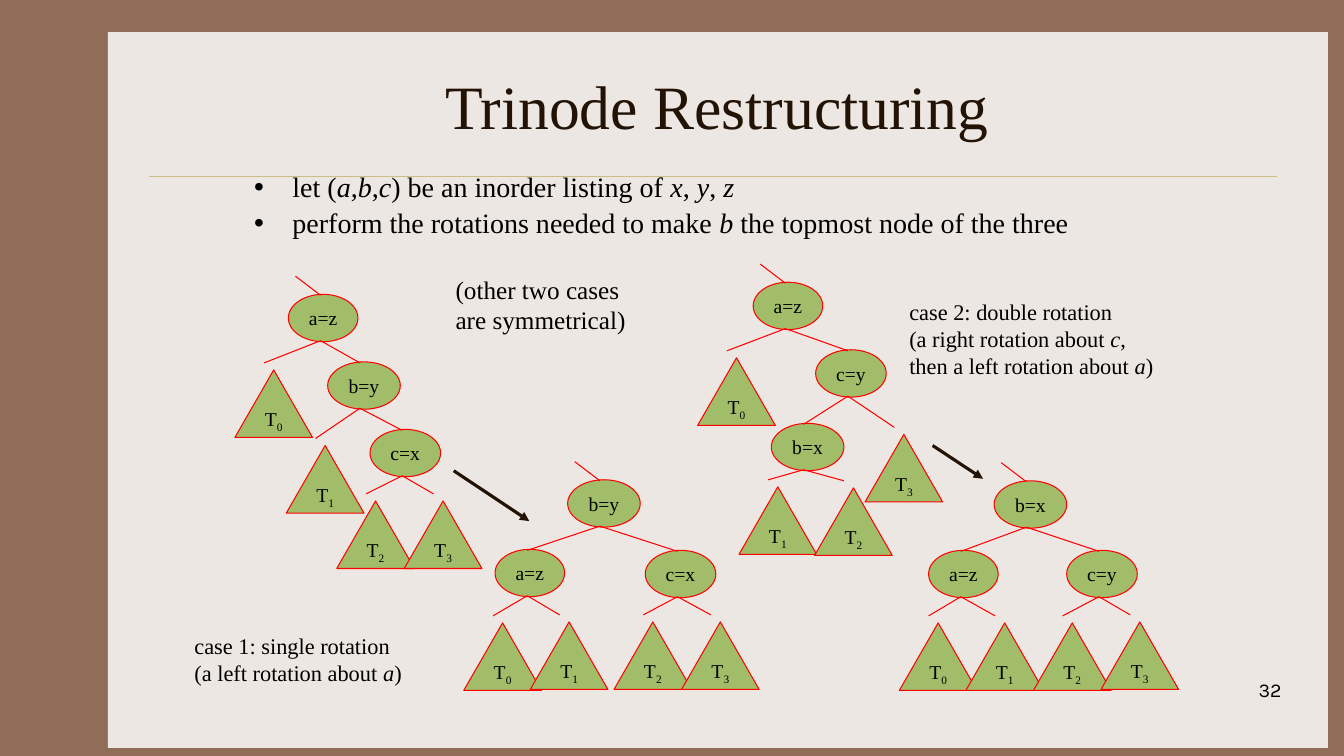
from lxml import etree
from pptx import Presentation
from pptx.dml.color import RGBColor
from pptx.enum.shapes import MSO_CONNECTOR, MSO_SHAPE
from pptx.enum.text import MSO_ANCHOR, MSO_AUTO_SIZE, PP_ALIGN
from pptx.oxml.ns import qn
from pptx.util import Pt

PX = 9144  # 100 px to the inch

BROWN = RGBColor(0x90, 0x6D, 0x58)
PAPER = RGBColor(0xED, 0xE7, 0xE3)
GOLD = RGBColor(0xCB, 0xBD, 0x83)
DARK = RGBColor(0x22, 0x13, 0x04)
BLACK = RGBColor(0, 0, 0)
GREEN = RGBColor(0xA1, 0xBD, 0x69)
RED = RGBColor(0xFF, 0, 0)

RECT, OVAL = MSO_SHAPE.RECTANGLE, MSO_SHAPE.OVAL
TRIANGLE = MSO_SHAPE.ISOSCELES_TRIANGLE
STRAIGHT = MSO_CONNECTOR.STRAIGHT
LEFT, CENTER, RIGHT = PP_ALIGN.LEFT, PP_ALIGN.CENTER, PP_ALIGN.RIGHT
TOP, MIDDLE = MSO_ANCHOR.TOP, MSO_ANCHOR.MIDDLE
NO_FIT = MSO_AUTO_SIZE.NONE

SERIF = "Times New Roman"
NODE_W = {"a": 69, "b": 72, "c": 70}
NODE_H = 47
SUBTREE_W, SUBTREE_H = 77, 67

# box left, box top, edges (root first), nodes, subtrees T0 to T3
TREES = [
    (233, 275, "a0 ab b1 bc c2 c3",
     {"b=y": (92, 84), "a=z": (53, 17), "c=x": (134, 151)},
     [(0, 92), (51, 167), (101, 222), (168, 222)]),
    (460, 458, "ba bc a0 a1 c2 c3",
     {"b=y": (103, 18), "a=z": (31, 87), "c=x": (180, 88)},
     [(0, 160), (66, 159), (149, 159), (216, 159)]),
    (692, 263, "a0 ac cb c3 b1 b2",
     {"c=y": (117, 84), "b=x": (73, 157), "a=z": (55, 17)},
     [(0, 92), (41, 220), (116, 221), (166, 168)]),
    (892, 460, "ba bc a0 a1 c2 c3",
     {"b=x": (94, 17), "c=y": (166, 86), "a=z": (29, 86)},
     [(0, 158), (66, 158), (133, 158), (200, 157)]),
]


def px(*lengths):
    return [n * PX for n in lengths]


def write(tf, *lines, size, color=BLACK, font=SERIF, align=LEFT, anchor=TOP,
          wrap=True, subscript=False):
    """Write one paragraph a line; text between asterisks is italic or subscript."""
    tf.auto_size, tf.word_wrap, tf.vertical_anchor = NO_FIT, wrap, anchor
    for n, line in enumerate(lines):
        p = tf.add_paragraph() if n else tf.paragraphs[0]
        p.alignment = align
        for i, chunk in enumerate(line.split("*")):
            if not chunk:
                continue
            r = p.add_run()
            r.text = chunk
            r.font.size, r.font.name = Pt(size), font
            r.font.color.rgb = color
            if i % 2 and subscript:
                r.font._element.set("baseline", "-25000")
            else:
                r.font.italic = bool(i % 2)


def add_text(slide, box, *lines, **fmt):
    write(slide.shapes.add_textbox(*px(*box)).text_frame, *lines, **fmt)


def add_line(slide, start, end, color=RED, width=0.75, arrow=False):
    sp = slide.shapes.add_connector(STRAIGHT, *px(*start, *end))
    sp.line.color.rgb, sp.line.width = color, Pt(width)
    if arrow:
        etree.SubElement(sp.line._get_or_add_ln(), qn("a:tailEnd"), type="triangle")
    etree.SubElement(sp._element.spPr, qn("a:effectLst"))


def add_filled(slide, kind, box, fill, outline=None):
    sp = slide.shapes.add_shape(kind, *px(*box))
    sp.shadow.inherit = False
    sp.fill.solid()
    sp.fill.fore_color.rgb = fill
    if outline is None:
        sp.line.fill.background()
    else:
        sp.line.color.rgb, sp.line.width = outline, Pt(0.75)
    return sp


def add_tree_part(slide, kind, box, label):
    sp = add_filled(slide, kind, box, GREEN, RED)
    write(sp.text_frame, label, size=14, align=CENTER, anchor=MIDDLE,
          wrap=False, subscript=True)


def add_tree(slide, left, top, edges, nodes, subtrees):
    entry, leave = {}, {}  # where edges reach and leave each part
    for label, (dx, dy) in nodes.items():
        key, x, y = label[0], left + dx, top + dy
        add_tree_part(slide, OVAL, (x, y, NODE_W[key], NODE_H), label)
        entry[key], leave[key] = (x + 32, y + 1), (x + 32, y + 46)
    for n, (dx, dy) in enumerate(subtrees):
        x, y = left + dx, top + dy
        add_tree_part(slide, TRIANGLE, (x, y, SUBTREE_W, SUBTREE_H), f"T*{n}*")
        entry[str(n)] = x + 29, y - 7
    for parent, child in edges.split():
        add_line(slide, leave[parent], entry[child])
    x, y = entry[edges[0]]
    add_line(slide, (x, y), (x - 25, y - 19))


def add_frame(slide):
    slide.background.fill.solid()
    slide.background.fill.fore_color.rgb = BROWN
    panel = add_filled(slide, RECT, (107, 32, 1210, 710), PAPER)
    slide.shapes._spTree.insert(2, panel._element)  # behind the placeholders
    add_line(slide, (148, 175), (1267, 175), GOLD, 0.25)
    add_text(slide, (1003, 668, 278, 50), "32", size=14, font="Karla", align=RIGHT)


def place(sp, box):
    sp.left, sp.top, sp.width, sp.height = px(*box)
    return sp.text_frame


def add_heading(slide):
    title, body = slide.placeholders
    write(place(title, (156, 42, 1111, 125)), "Trinode Restructuring", size=44,
          color=DARK, align=CENTER, anchor=MIDDLE)
    tf = place(body, (242, 167, 850, 125))
    write(tf, "let (*a*,*b*,*c*) be an inorder listing of *x*, *y*, *z*",
          "perform the rotations needed to make *b* the topmost node of the three",
          size=20)
    for p in tf.paragraphs:
        p.line_spacing, p.space_before = 0.9, Pt(4)
        pPr = p._p.get_or_add_pPr()
        pPr.set("marL", str(38 * PX))
        pPr.set("indent", str(-38 * PX))
        etree.SubElement(pPr, qn("a:buChar"), char="•")


def add_captions(slide):
    add_text(slide, (183, 622, 229, 64), "case 1: single rotation",
             "(a left rotation about *a*)", size=16, wrap=False)
    add_text(slide, (892, 291, 275, 90), "case 2: double rotation",
             "(a right rotation about *c*, then a left rotation about *a*)", size=16)
    add_text(slide, (442, 267, 208, 70), "(other two cases are symmetrical)", size=18)


def main():
    prs = Presentation()
    prs.slide_width, prs.slide_height = px(1333, 750)
    slide = prs.slides.add_slide(prs.slide_layouts[1])
    add_frame(slide)
    add_heading(slide)
    for tree in TREES:
        add_tree(slide, *tree)
    add_line(slide, (450, 467), (525, 517), DARK, 2.25, arrow=True)
    add_line(slide, (925, 442), (975, 475), DARK, 2.25, arrow=True)
    add_captions(slide)
    prs.save("out.pptx")


if __name__ == "__main__":
    main()
